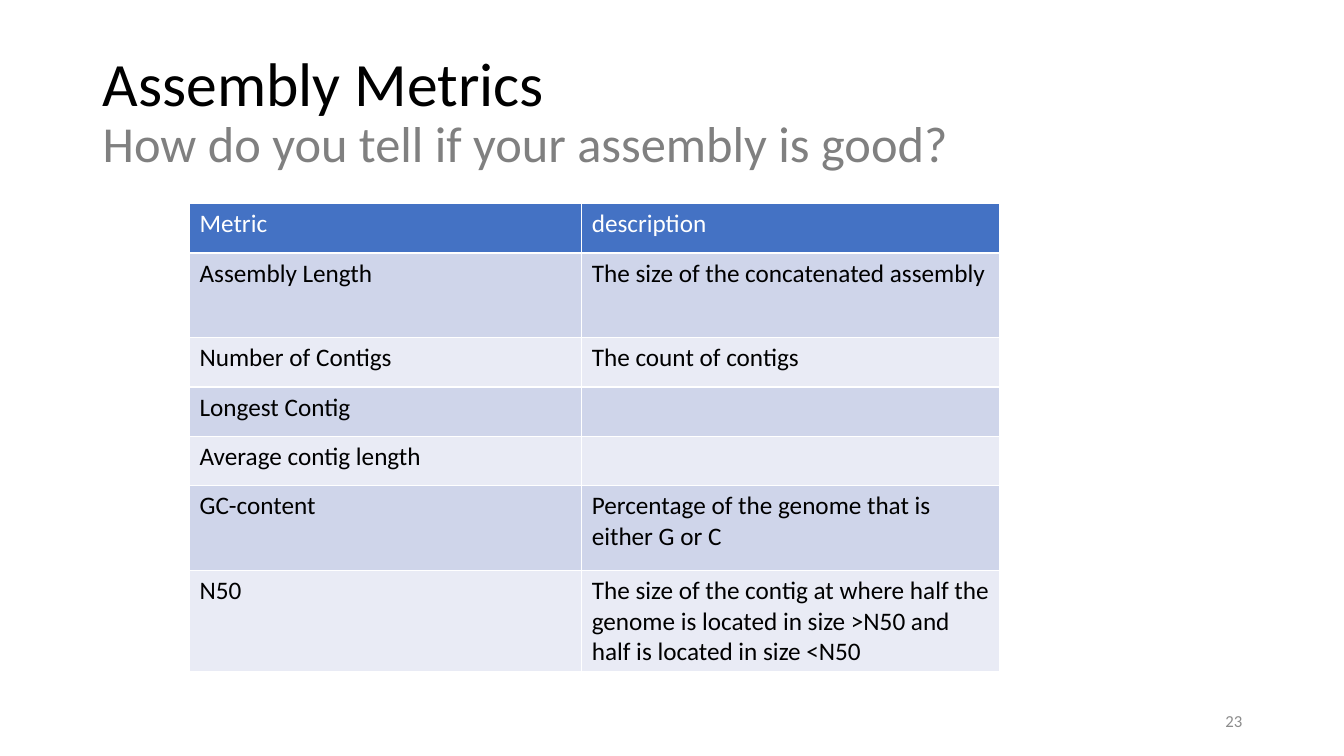
"""Build the Assembly Metrics slide."""
from lxml import etree
from pptx import Presentation
from pptx import util as u
from pptx.dml.color import RGBColor
from pptx.enum import text
from pptx.oxml.ns import qn

FONT = "Calibri"
BLACK = RGBColor(0x00, 0x00, 0x00)
WHITE = RGBColor(0xFF, 0xFF, 0xFF)
GREY = RGBColor(0x80, 0x80, 0x80)
NUMBER_GREY = RGBColor(0x8C, 0x8C, 0x8C)
HEADER = RGBColor(0x44, 0x72, 0xC4)
BANDS = (RGBColor(0xE9, 0xEB, 0xF5), RGBColor(0xCF, 0xD5, 0xEA))

METRICS = [
    ("Metric", "description"),
    ("Assembly Length", "The size of the concatenated assembly"),
    ("Number of Contigs", "The count of contigs"),
    ("Longest Contig", ""),
    ("Average contig length", ""),
    ("GC-content", "Percentage of the genome that is either G or C"),
    ("N50", "The size of the contig at where half the genome is located "
            "in size >N50 and half is located in size <N50"),
]
COLUMN_WIDTHS = (3.89, 4.14)
ROW_HEIGHTS = (0.49, 0.84, 0.49, 0.49, 0.49, 0.84, 0.84)


def add_run(p, words, size, color):
    """Add one formatted run to a paragraph."""
    r = p.add_run()
    r.text = words
    r.font.name = FONT
    r.font.size = u.Pt(size)
    r.font.bold = False
    r.font.color.rgb = color


def add_text(s, box, lines, align=text.PP_ALIGN.LEFT, spacing=1.0):
    """Add a middle-anchored text box with line breaks between its lines."""
    tf = s.shapes.add_textbox(*map(u.Inches, box)).text_frame
    tf.word_wrap = True
    tf.vertical_anchor = text.MSO_ANCHOR.MIDDLE
    p = tf.paragraphs[0]
    p.alignment = align
    p.line_spacing = spacing
    for i, line in enumerate(lines):
        if i:
            p.add_line_break()
        add_run(p, *line)


def set_borders(cell, color, width):
    """Draw a solid border on all four sides of a table cell."""
    tc_pr = cell._tc.get_or_add_tcPr()
    for side in ("a:lnL", "a:lnR", "a:lnT", "a:lnB"):
        ln = etree.SubElement(tc_pr, qn(side), w=str(u.Pt(width)))
        fill = etree.SubElement(ln, qn("a:solidFill"))
        etree.SubElement(fill, qn("a:srgbClr"), val=str(color))


def add_metrics_table(s, left, top):
    """Add the banded table of metrics and their descriptions."""
    table = s.shapes.add_table(
        len(METRICS), len(COLUMN_WIDTHS), u.Inches(left), u.Inches(top),
        u.Inches(sum(COLUMN_WIDTHS)), u.Inches(sum(ROW_HEIGHTS))).table
    for column, width in zip(table.columns, COLUMN_WIDTHS):
        column.width = u.Inches(width)
    for i, (row, height) in enumerate(zip(table.rows, ROW_HEIGHTS)):
        row.height = u.Inches(height)
        for cell, words in zip(row.cells, METRICS[i]):
            set_borders(cell, WHITE, 1)
            cell.fill.solid()
            cell.fill.fore_color.rgb = BANDS[i % 2] if i else HEADER
            if words:
                add_run(cell.text_frame.paragraphs[0], words, 18,
                        BLACK if i else WHITE)


def main():
    """Build and save the slide."""
    prs = Presentation()
    prs.slide_width = u.Inches(13.33)
    prs.slide_height = u.Inches(7.5)
    s = prs.slides.add_slide(prs.slide_layouts[6])
    add_text(s, (0.92, 0.4, 11.5, 1.45), [
        ("Assembly Metrics", 44, BLACK),
        ("How do you tell if your assembly is good?", 36, GREY),
    ], spacing=0.9)
    add_metrics_table(s, 1.88, 2.02)
    add_text(s, (9.42, 6.95, 3, 0.4), [("23", 12, NUMBER_GREY)],
             align=text.PP_ALIGN.RIGHT)
    prs.save("out.pptx")


if __name__ == "__main__":
    main()
